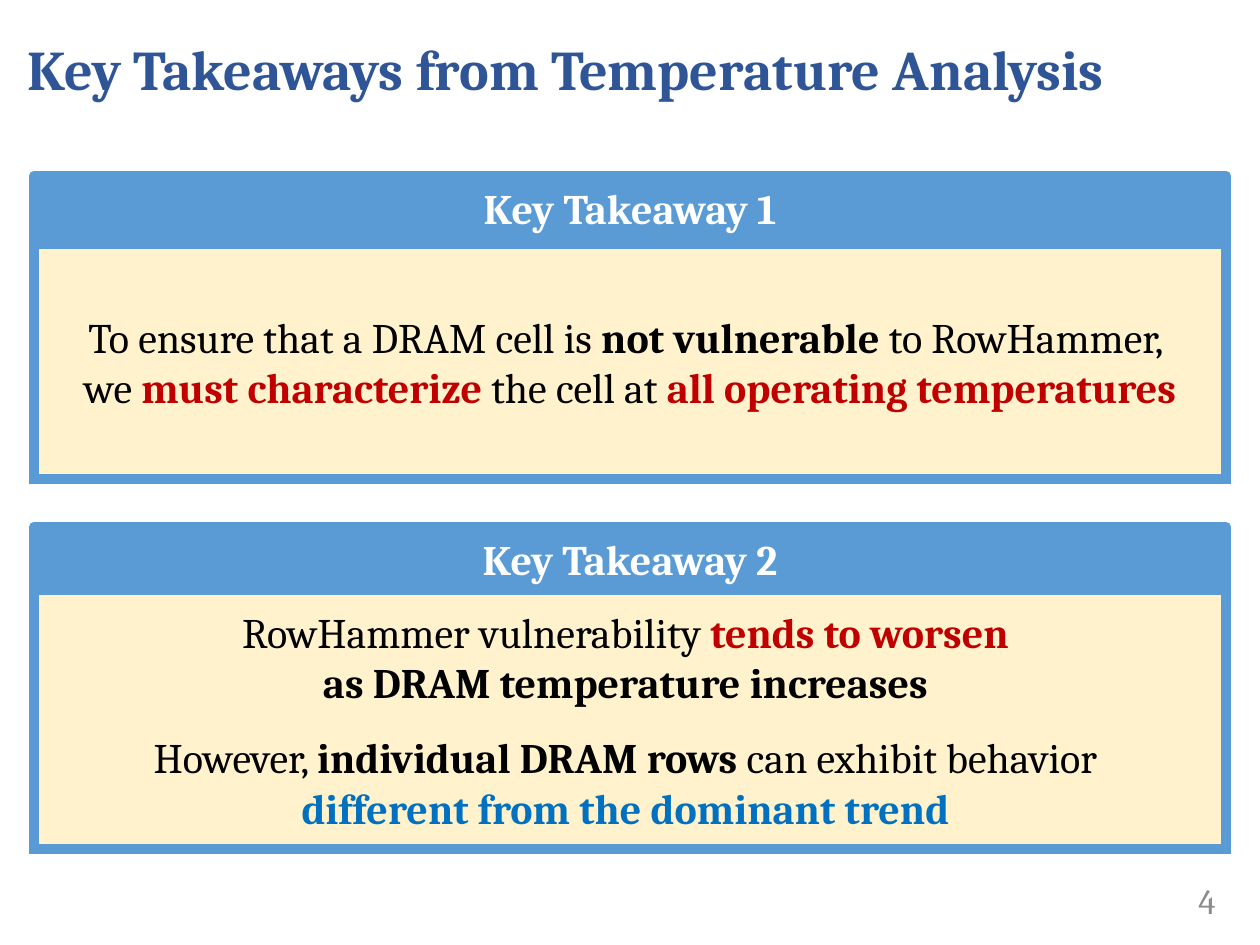
from dataclasses import dataclass

from lxml import etree
from pptx import Presentation
from pptx.dml.color import RGBColor
from pptx.enum.shapes import MSO_SHAPE
from pptx.enum.text import MSO_ANCHOR, PP_ALIGN
from pptx.oxml.ns import qn
from pptx.util import Pt

RECTANGLE = MSO_SHAPE.RECTANGLE
TOP, MIDDLE = MSO_ANCHOR.TOP, MSO_ANCHOR.MIDDLE
LEFT, CENTER, RIGHT = PP_ALIGN.LEFT, PP_ALIGN.CENTER, PP_ALIGN.RIGHT
PX = 914400 / 126


@dataclass(frozen=True)
class Theme:
    font: str = "Cambria"
    title: str = "2F5597"
    frame: str = "5B9BD5"
    panel: str = "FFF2CC"
    header: str = "FFFFFF"
    text: str = "000000"
    warning: str = "C00000"
    contrast: str = "0070C0"
    number: str = "8C8C8C"
    title_size: int = 32
    body_size: int = 24
    number_size: int = 20
    frame_width: int = 6
    statement_gap: int = 14


THEME = Theme()


def px(*lengths):
    return [round(length * PX) for length in lengths]


def color(value):
    return RGBColor.from_string(value)


def write(box, paragraphs, size, align, anchor):
    frame = box.text_frame
    frame.word_wrap = True
    frame.vertical_anchor = anchor
    for index, runs in enumerate(paragraphs):
        para = frame.paragraphs[0] if index == 0 else frame.add_paragraph()
        para.alignment = align
        for text, bold, tint in runs:
            if text == "\n":
                para.add_line_break()
                continue
            span = para.add_run()
            span.text = text
            span.font.name = THEME.font
            span.font.size = Pt(size)
            span.font.bold = bold
            span.font.color.rgb = color(tint)
    return frame


def add_text(page, area, run, size, align):
    box = page.shapes.add_textbox(*px(*area))
    return write(box, [[run]], size, align, MIDDLE)


def add_framed(page, area, fill, join):
    box = page.shapes.add_shape(RECTANGLE, *px(*area))
    box.shadow.inherit = False
    box.fill.solid()
    box.fill.fore_color.rgb = color(fill)
    box.line.color.rgb = color(THEME.frame)
    box.line.width = Pt(THEME.frame_width)
    outline = box.line.fill._xPr
    etree.SubElement(outline, qn(f"a:{join}"))
    return box


def add_takeaway(page, area, panel_offset, heading, statements, gap=0):
    left, top, width, height = area
    panel_area = (left, top + panel_offset, width, height - panel_offset)
    panel = add_framed(page, panel_area, THEME.panel, "miter")
    frame = write(panel, statements, THEME.body_size, CENTER, MIDDLE)
    for para in frame.paragraphs[1:]:
        para.space_before = Pt(gap)
    header = add_framed(page, (left, top, width, 63), THEME.frame, "round")
    write(header, [[(heading, True, THEME.header)]], THEME.body_size, CENTER, TOP)


def plain(text):
    return text, False, THEME.text


def strong(text, tint=THEME.text):
    return text, True, tint


def main():
    deck = Presentation()
    deck.slide_width, deck.slide_height = px(1260, 945)
    page = deck.slides.add_slide(deck.slide_layouts[6])
    line_break = plain("\n")

    add_text(page, (1092, 876, 136, 50), ("4", False, THEME.number),
             THEME.number_size, RIGHT)
    add_takeaway(page, (34, 176, 1192, 303), 68, "Key Takeaway 1", [
        [plain("To ensure that a DRAM cell is "), strong("not vulnerable "),
         plain("to RowHammer, ")],
        [plain("we "), strong("must characterize ", THEME.warning),
         plain("the cell at "),
         strong("all operating temperatures", THEME.warning)],
    ])
    add_takeaway(page, (34, 527, 1192, 322), 63, "Key Takeaway 2", [
        [plain("RowHammer vulnerability "),
         strong("tends to worsen ", THEME.warning), line_break,
         strong("as DRAM temperature increases ")],
        [plain("However, "), strong("individual DRAM rows "),
         plain("can exhibit behavior "), line_break,
         strong("different from the dominant trend ", THEME.contrast)],
    ], THEME.statement_gap)
    add_text(page, (15, 0, 1245, 137),
             strong("Key Takeaways from Temperature Analysis", THEME.title),
             THEME.title_size, LEFT)
    deck.save("out.pptx")


if __name__ == "__main__":
    main()
